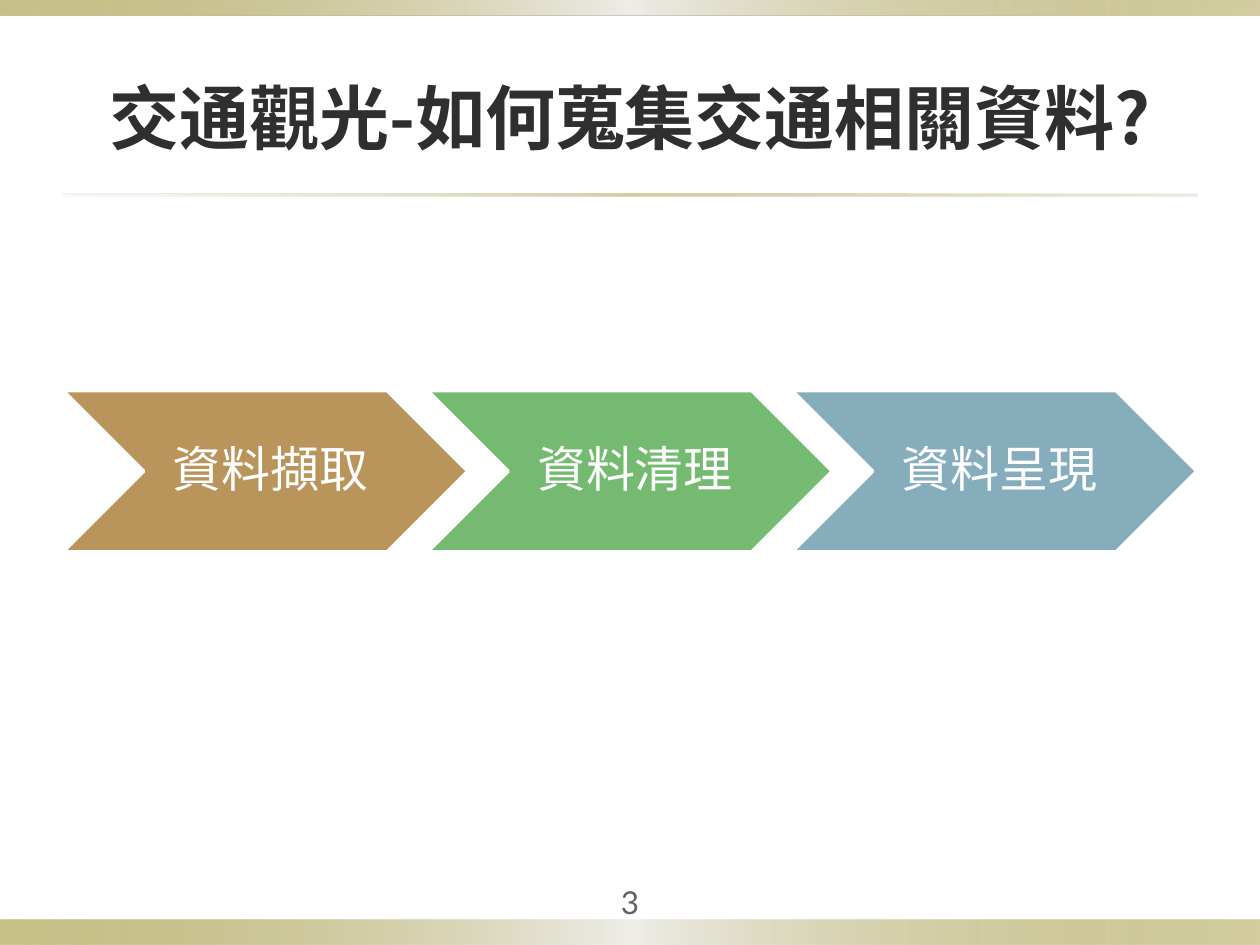
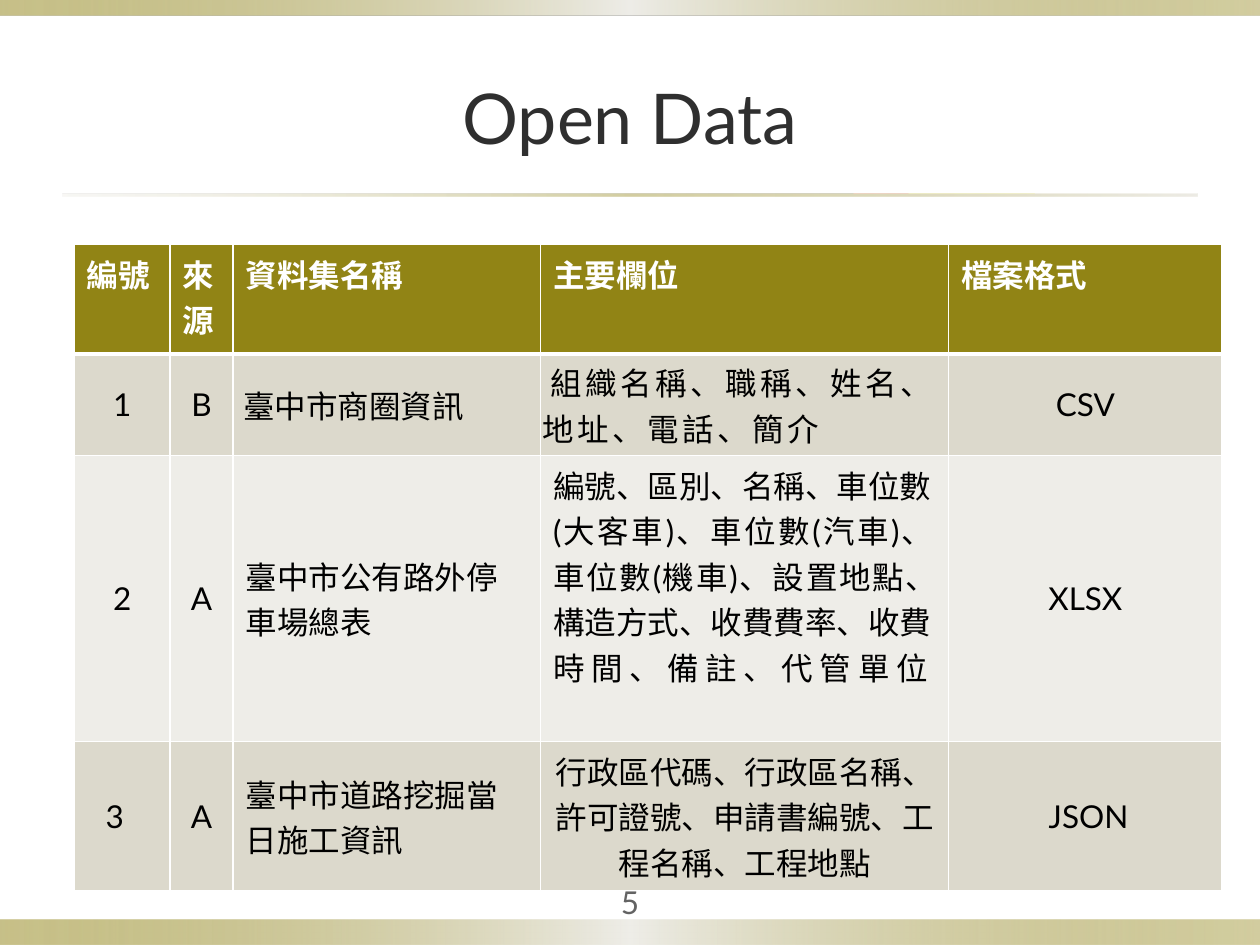
from dataclasses import dataclass

from lxml import etree
from pptx import Presentation
from pptx import util as u
from pptx.dml.color import RGBColor
from pptx.enum import shapes, text
from pptx.oxml import ns

COLUMNS, ROWS = 20, 15
WIDTH, HEIGHT = u.Inches(10), u.Inches(7.5)
CENTER, LEFT = text.PP_ALIGN.CENTER, text.PP_ALIGN.LEFT
MIDDLE, TOP = text.MSO_ANCHOR.MIDDLE, text.MSO_ANCHOR.TOP


@dataclass(frozen=True)
class Theme:
    font: str = "Lato"
    plain_font: str = "Arial"
    asian_font: str = "Noto Sans CJK SC"
    ink: str = "2F2F2F"
    muted: str = "636363"
    black: str = "000000"
    white: str = "FFFFFF"
    olive: str = "918415"
    sand: str = "DCD9CC"
    pale: str = "EEEDE8"
    steps: tuple = ("B9945B", "75BA71", "85ADBC")
    title_size: int = 40
    step_size: int = 28
    body_size: int = 18


THEME = Theme()
BAND_STOPS = ((0, THEME.olive, 50), (50, THEME.pale, 100), (100, THEME.olive, 40))
RULE_STOPS = ((0, THEME.sand, 20), (50, THEME.olive, 40), (100, THEME.sand, 50))


@dataclass(frozen=True)
class Box:
    """An area measured in columns and rows of the slide grid."""
    column: float
    row: float
    columns: float
    rows: float

    def place(self):
        across, down = WIDTH / COLUMNS, HEIGHT / ROWS
        return [round(length) for length in (self.column * across, self.row * down,
                                             self.columns * across, self.rows * down)]


TITLE_BOX = Box(1, 0.6, 18, 2.5)
RULE_BOX = Box(1, 3.08, 18, 0.04)
TOP_BAND = Box(0, 0, 20, 0.24)
BOTTOM_BAND = Box(0, 14.6, 20, 0.4)
NUMBER_BOX = Box(9, 14, 2, 0.62)
PROCESS_BOX = Box(1, 6.2, 18, 2.56)
TABLE_BOX = Box(1.18, 3.88, 18.22, 8.66)


def rgb(color):
    return RGBColor.from_string(color)


def write(frame, words, size=THEME.body_size, color=THEME.black, bold=False,
          font=THEME.font, align=LEFT, anchor=MIDDLE, insets=None,
          line_spacing=None, before=None, indent=None):
    """Fill a frame with a string, or with (string, letter spacing) pairs."""
    frame.vertical_anchor = anchor
    if insets:
        (frame.margin_left, frame.margin_top,
         frame.margin_right, frame.margin_bottom) = map(u.Inches, insets)
    paragraph = frame.paragraphs[0]
    paragraph.alignment = align
    if line_spacing:
        paragraph.line_spacing = line_spacing
    if before:
        paragraph.space_before = u.Pt(before)
    if indent:
        paragraph._p.get_or_add_pPr().set("indent", str(u.Inches(indent)))
    for part, spacing in [(words, 0)] if isinstance(words, str) else words:
        run = paragraph.add_run()
        run.text = part
        run.font.name, run.font.size, run.font.bold = font, u.Pt(size), bold
        run.font.color.rgb = rgb(color)
        properties = run._r.get_or_add_rPr()
        asian = etree.SubElement(properties, ns.qn("a:ea"))
        asian.set("typeface", THEME.asian_font)
        if spacing:
            properties.set("spc", str(round(spacing * 100)))


def add_gradient_bar(slide, box, stops):
    bar = slide.shapes.add_shape(shapes.MSO_SHAPE.RECTANGLE, *box.place())
    bar.shadow.inherit = False
    bar.line.fill.background()
    bar.fill.gradient()
    bar.fill.gradient_angle = 0
    stop_list = bar._element.spPr.find(".//" + ns.qn("a:gsLst"))
    for stop in list(stop_list):
        stop_list.remove(stop)
    for position, color, opacity in stops:
        stop = etree.SubElement(stop_list, ns.qn("a:gs"), pos=str(position * 1000))
        tint = etree.SubElement(stop, ns.qn("a:srgbClr"), val=color)
        etree.SubElement(tint, ns.qn("a:alpha"), val=str(opacity * 1000))


def add_titled_slide(presentation, title, **title_format):
    slide = presentation.slides.add_slide(presentation.slide_layouts[5])
    for box, stops in ((BOTTOM_BAND, BAND_STOPS), (TOP_BAND, BAND_STOPS),
                       (RULE_BOX, RULE_STOPS)):
        add_gradient_bar(slide, box, stops)
    heading = slide.shapes.title
    heading.left, heading.top, heading.width, heading.height = TITLE_BOX.place()
    heading.text_frame.auto_size = text.MSO_AUTO_SIZE.NONE
    write(heading.text_frame, title, size=THEME.title_size, color=THEME.ink,
          align=CENTER, **title_format)
    return slide


def add_page_number(slide, number):
    frame = slide.shapes.add_textbox(*NUMBER_BOX.place()).text_frame
    frame.word_wrap = True
    write(frame, str(number), color=THEME.muted, align=CENTER, insets=(0.05,) * 4)


def add_process(slide, box, steps):
    """Chevrons in a row, each starting at 90% of the one before."""
    advance = 0.9
    width = box.columns / (1 + advance * (len(steps) - 1))
    for index, (step, color) in enumerate(zip(steps, THEME.steps)):
        place = Box(box.column + index * advance * width, box.row, width, box.rows)
        chevron = slide.shapes.add_shape(shapes.MSO_SHAPE.CHEVRON, *place.place())
        chevron.shadow.inherit = False
        chevron.fill.solid()
        chevron.fill.fore_color.rgb = rgb(color)
        chevron.line.color.rgb = rgb(THEME.white)
        chevron.line.width = u.Pt(2)
        chevron.text_frame.word_wrap = True
        write(chevron.text_frame, step, size=THEME.step_size, color=THEME.white,
              align=CENTER, insets=(0.12, 0.04, 0.04, 0.04), line_spacing=0.9)


def style_cell(cell, color, top=1, bottom=1):
    """Fill a cell and give it white borders."""
    cell.fill.solid()
    cell.fill.fore_color.rgb = rgb(color)
    properties = cell._tc.get_or_add_tcPr()
    borders = (("L", 1), ("R", 1), ("T", top), ("B", bottom))
    for index, (side, points) in enumerate(borders):
        line = etree.Element(ns.qn("a:ln" + side), w=str(u.Pt(points)))
        fill = etree.SubElement(line, ns.qn("a:solidFill"))
        etree.SubElement(fill, ns.qn("a:srgbClr"), val=THEME.white)
        properties.insert(index, line)


def add_dataset_table(slide, box, header, records, column_shares, row_shares):
    """Records hold one (words, format) pair for each column."""
    left, top, width, height = box.place()
    table = slide.shapes.add_table(len(records) + 1, len(header),
                                   left, top, width, height).table
    for column, share in zip(table.columns, column_shares):
        column.width = round(width * share / sum(column_shares))
    for row, share in zip(table.rows, row_shares):
        row.height = round(height * share / sum(row_shares))
    for index, label in enumerate(header):
        cell = table.cell(0, index)
        style_cell(cell, THEME.olive, bottom=3)
        cell.vertical_anchor = TOP
        write_cell(cell, label, color=THEME.white, bold=True, anchor=TOP)
    for number, record in enumerate(records, 1):
        for index, (words, options) in enumerate(record):
            cell = table.cell(number, index)
            style_cell(cell, THEME.sand if number % 2 else THEME.pale,
                       top=3 if number == 1 else 1)
            write_cell(cell, words, **options)


def write_cell(cell, words, anchor=MIDDLE, insets=(0.1, 0.05, 0.1, 0.05), **options):
    """Anchor and insets belong to the cell, the rest to its text."""
    write(cell.text_frame, words, anchor=None, **options)
    cell.vertical_anchor = anchor
    (cell.margin_left, cell.margin_top,
     cell.margin_right, cell.margin_bottom) = map(u.Inches, insets)


def build_process_slide(presentation):
    slide = add_titled_slide(presentation, "交通觀光-如何蒐集交通相關資料?",
                             font=THEME.asian_font, bold=True)
    add_process(slide, PROCESS_BOX, ("資料擷取", "資料清理", "資料呈現"))
    add_page_number(slide, 3)


def build_open_data_slide(presentation):
    slide = add_titled_slide(presentation, "Open Data")
    centered = {"align": CENTER}
    plain = {"font": THEME.plain_font}
    parking_fields = (("編號、區別、名稱、車位數", 0), ("(大客車)、車位數(汽車)", 1.4),
                      ("、", 0), ("車位數(機車)、設置地點", 1),
                      ("、構造方式、收費費率、收費", 0), ("時間、備註、代管單位", 3.8))
    records = (
        (("1", centered), ("B", centered),
         ("臺中市商圈資訊", {**plain, "insets": (0.08, 0.04, 0.1, 0.04)}),
         ((("組織名稱、職稱、姓名、地址、電話、簡介", 2),),
          {**plain, "anchor": TOP, "insets": (0.02, 0.04, 0.1, 0.04), "indent": 0.06}),
         ("CSV", centered)),
        (("2", centered), ("A", centered), ("臺中市公有路外停車場總表", {}),
         (parking_fields, {"anchor": TOP, "before": 0.5}), ("XLSX", centered)),
        (("3", {**centered, "insets": (0.1, 0.05, 0.22, 0.05)}), ("A", centered),
         ("臺中市道路挖掘當日施工資訊", {}),
         ("行政區代碼、行政區名稱、許可證號、申請書編號、工程名稱、工程地點", centered),
         ("JSON", {**centered, "insets": (0.08, 0.03, 0.03, 0.03)})),
    )
    add_dataset_table(slide, TABLE_BOX,
                      ("編號", "來源", "資料集名稱", "主要欄位", "檔案格式"), records,
                      column_shares=(0.76, 0.5, 2.44, 3.24, 2.17),
                      row_shares=(0.87, 0.78, 1.82, 0.86))
    add_page_number(slide, 5)


def main():
    presentation = Presentation()
    presentation.slide_width, presentation.slide_height = WIDTH, HEIGHT
    build_process_slide(presentation)
    build_open_data_slide(presentation)
    presentation.save("out.pptx")


if __name__ == "__main__":
    main()
